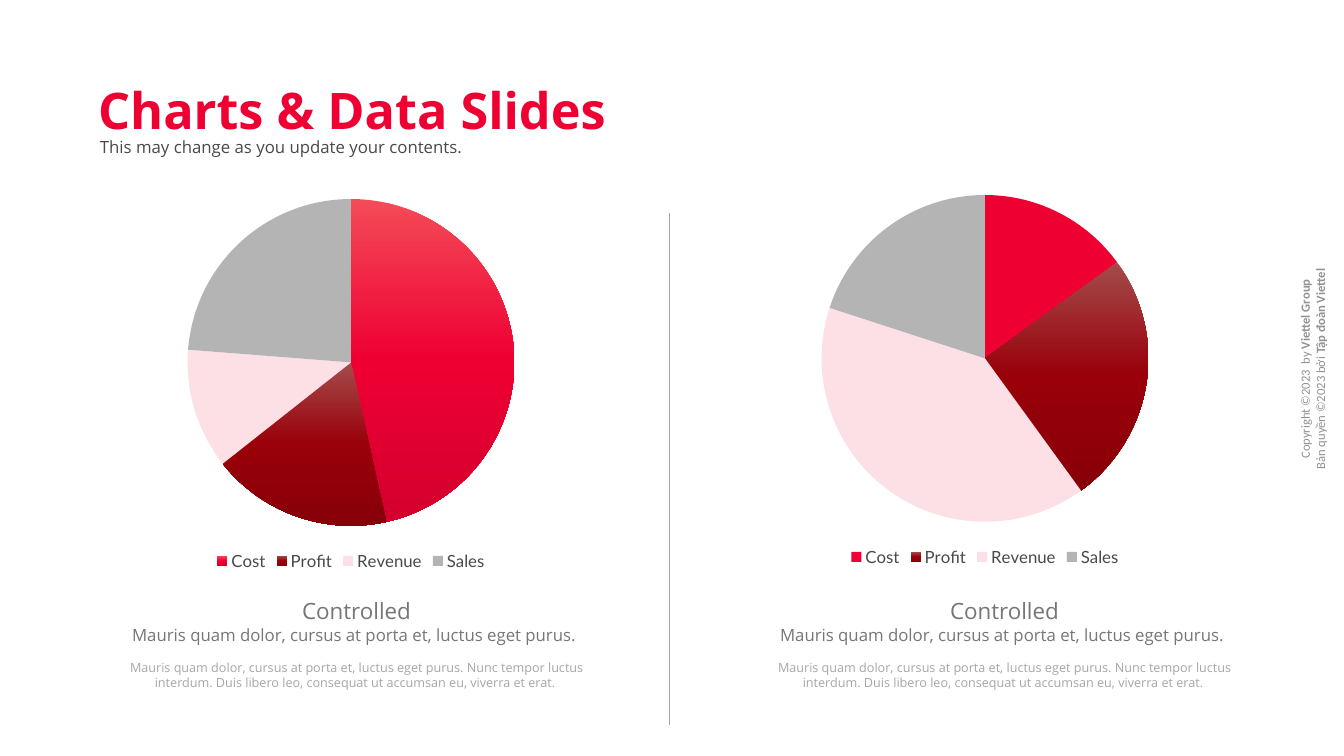
from copy import deepcopy

from pptx import Presentation
from pptx.chart.data import CategoryChartData
from pptx.dml.color import RGBColor
from pptx.enum.chart import XL_CHART_TYPE as ChartType, XL_LEGEND_POSITION as LegendPos
from pptx.enum.shapes import MSO_CONNECTOR as Connector
from pptx.enum.text import MSO_ANCHOR as Anchor, MSO_AUTO_SIZE as AutoSize, PP_ALIGN as Align
from pptx.oxml import parse_xml
from pptx.oxml.ns import nsdecls, qn
from pptx.util import Pt

PX = 914400 / 100.8
COLORS = {
    "red": "EE0033", "red_light": "F44B57", "red_dark": "D3002D",
    "wine": "990009", "wine_light": "A44B4B", "wine_dark": "880008",
    "pink": "FDE0E6", "silver": "B5B4B4", "ink": "494949",
    "heading": "767676", "muted": "A6A6A6", "copyright": "929292",
}
RED_FADE = ("red_light", "red", "red_dark")
WINE_FADE = ("wine_light", "wine", "wine_dark")
CATEGORIES = ("Cost", "Profit", "Revenue", "Sales")


def px(*lengths):
    return [round(n * PX) for n in lengths]


def rgb(name):
    return RGBColor.from_string(COLORS[name])


def set_font(font, name, size, color, bold=False):
    font.name, font.size, font.bold = name, Pt(size), bold
    font.color.rgb = rgb(color)


def add_text_frame(slide, box, anchor=Anchor.TOP):
    tf = slide.shapes.add_textbox(*px(*box)).text_frame
    tf.word_wrap = True
    tf.vertical_anchor = anchor
    return tf


def add_header(slide, x, y):
    # Title
    title = slide.shapes.title
    title.left, title.top, title.width, title.height = px(x, y, 535, 41)
    tf = title.text_frame
    tf.text = "Charts & Data Slides"
    tf.vertical_anchor, tf.auto_size = Anchor.TOP, AutoSize.NONE
    p = tf.paragraphs[0]
    p.alignment, p.line_spacing = Align.LEFT, Pt(33)
    set_font(p.font, "Open Sans", 36, "red", True)

    # Subtitle
    p = add_text_frame(slide, (x + 2, y + 44, 408, 41)).paragraphs[0]
    p.text = "This may change as you update your contents."
    set_font(p.font, "Open Sans", 12, "ink")


def fill_slice(chart, point, color):
    fill = point.format.fill
    point.format.line.fill.background()
    if isinstance(color, str):
        fill.solid()
        fill.fore_color.rgb = rgb(color)
        return
    fill.gradient()
    fill.gradient_angle = 270
    stop_list = list(chart.element.iter(qn("a:gsLst")))[-1]
    stop_list.append(deepcopy(stop_list[0]))
    for stop, position, name in zip(fill.gradient_stops, (0, 0.5, 1), color):
        stop.position = position
        stop.color.rgb = rgb(name)


def add_pie(slide, x, y, values, colors):
    width, height, diameter = 568, 390, 327
    data = CategoryChartData()
    data.categories = CATEGORIES
    data.add_series("Series 1", values)
    chart = slide.shapes.add_chart(ChartType.PIE, *px(x, y, width, height), data).chart
    chart.has_title = False
    set_font(chart.font, "Lato", 10, "ink")
    chart.has_legend = True
    chart.legend.position = LegendPos.BOTTOM
    chart.legend.include_in_layout = False
    set_font(chart.legend.font, "Lato", 12, "ink")
    plot = chart.plots[0]
    plot.vary_by_categories = True
    for i, color in enumerate(colors):
        fill_slice(chart, plot.series[0].points[i], color)

    # Fixed plot area, centred across the chart
    area = next(chart.element.iter(qn("c:plotArea")))
    for layout in area.findall(qn("c:layout")):
        area.remove(layout)
    place = {"x": (width - diameter) / 2 / width, "y": 14 / height,
             "w": diameter / width, "h": diameter / height}
    parts = "".join(f'<c:{key} val="{value:.3f}"/>' for key, value in place.items())
    area.insert(0, parse_xml(
        f'<c:layout {nsdecls("c")}><c:manualLayout><c:layoutTarget val="inner"/>'
        f'<c:xMode val="edge"/><c:yMode val="edge"/>{parts}</c:manualLayout></c:layout>'))


def add_caption(slide, x, y):
    tf = add_text_frame(slide, (x, y, 485, 125), Anchor.MIDDLE)
    tf.margin_left, tf.margin_right, tf.margin_top, tf.margin_bottom = px(5, 5, 3, 3)
    lead = "Mauris quam dolor, cursus at porta et, luctus eget purus. "
    detail = (lead + "Nunc tempor luctus interdum. "
              "Duis libero leo, consequat ut accumsan eu, viverra et erat. ")
    lines = (("Controlled", 16, "heading"), (lead, 12, "heading"), (detail, 9, "muted"))
    for i, (text, size, color) in enumerate(lines):
        p = tf.add_paragraph() if i else tf.paragraphs[0]
        p.text, p.alignment = text, Align.CENTER
        set_font(p.font, "Open Sans", size, color)
    tf.paragraphs[0].line_spacing = 2.0
    tf.paragraphs[2].space_before = Pt(11)


def add_divider(slide, x, top, bottom):
    line = slide.shapes.add_connector(Connector.STRAIGHT, *px(x, top, x, bottom))
    line.line.color.rgb = rgb("muted")
    line.line.width = Pt(0.5)
    line._element.spPr.append(parse_xml(f'<a:effectLst {nsdecls("a")}/>'))


def add_copyright(slide, box):
    sp = slide.shapes.add_textbox(*px(*box))
    sp.rotation = 270
    tf = sp.text_frame
    tf.word_wrap, tf.vertical_anchor = True, Anchor.MIDDLE
    lines = (("Copyright ©2023  by ", "Viettel Group"),
             ("Bản quyền ©2023 bởi ", "Tập đoàn Viettel"))
    for i, (notice, owner) in enumerate(lines):
        p = tf.add_paragraph() if i else tf.paragraphs[0]
        p.alignment = Align.CENTER
        set_font(p.font, "Calibri", 9, "copyright")
        p.add_run().text = notice
        r = p.add_run()
        r.text, r.font.bold = owner, True


def main():
    prs = Presentation()
    prs.slide_width, prs.slide_height = px(1344, 756)
    slide = prs.slides.add_slide(prs.slide_layouts[5])

    add_copyright(slide, (1080, 349, 465, 40))
    add_divider(slide, 669, 213, 725)
    add_header(slide, 88, 88)

    # Left half
    add_pie(slide, 67, 185, (47, 18, 12, 24), (RED_FADE, WINE_FADE, "pink", "silver"))
    add_caption(slide, 114, 568)

    # Right half
    add_pie(slide, 701, 181, (15, 25, 40, 20), ("red", WINE_FADE, "pink", "silver"))
    add_caption(slide, 762, 568)

    prs.save("out.pptx")


if __name__ == "__main__":
    main()
